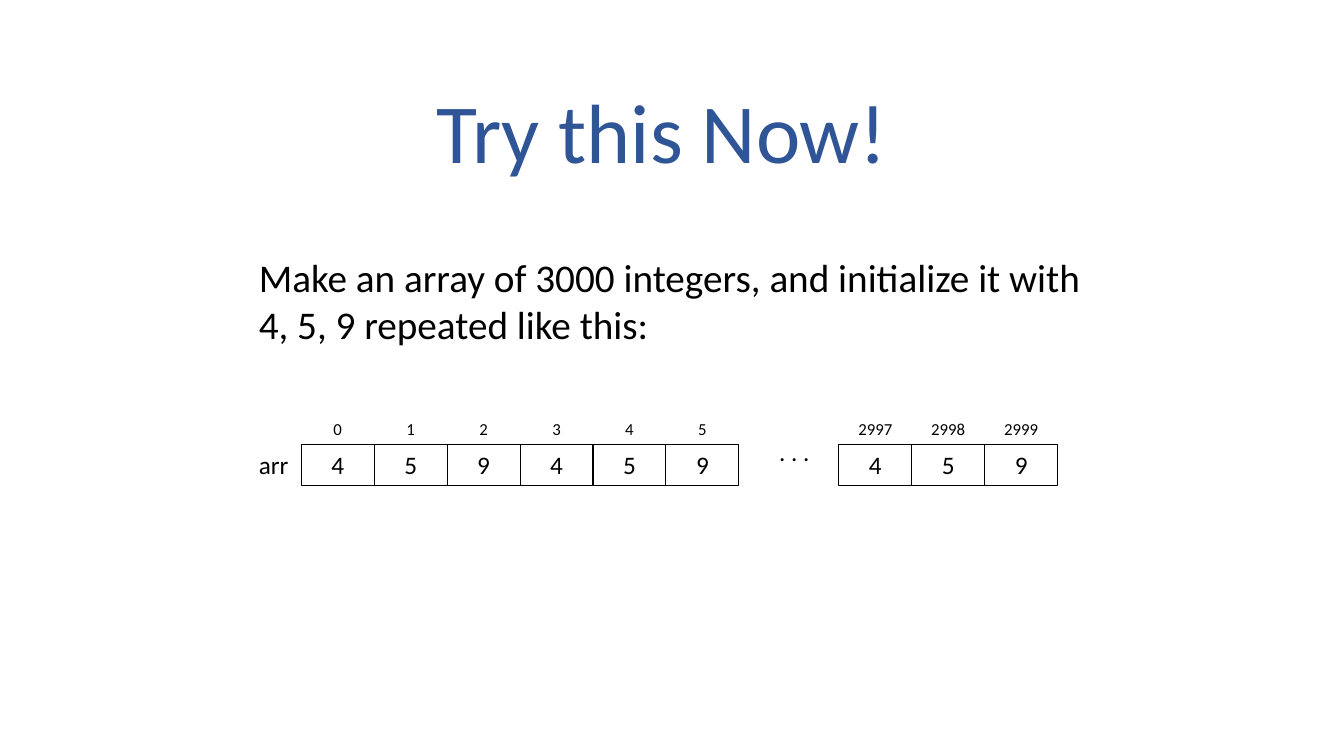
from typing import NamedTuple

from pptx import Presentation
from pptx.dml import color
from pptx.enum import shapes, text as text_enum
from pptx.util import Pt

COLORS = {"ink": "000000", "title": "2F5597"}
FONT = "Calibri"
VALUES = (4, 5, 9)
CELL_WIDTH = 52.1
CELL_HEIGHT = 29.08
CELL_TOP = 317.5
INDEX_HEIGHT = 21.81
INDEX_TOP = CELL_TOP - INDEX_HEIGHT


class Box(NamedTuple):
    left: float
    top: float
    width: float
    height: float

    def lengths(self) -> tuple:
        return tuple(Pt(length) for length in self)


class ArrayPart(NamedTuple):
    left: float
    indices: range


ARRAY_PARTS = (
    ArrayPart(215.2, range(6)),
    ArrayPart(599.2, range(2997, 3000)),
)


def write(shape, text: str, *, size: float = 18, ink: str = "ink",
          centered: bool = False, wrap: bool = True) -> None:
    frame = shape.text_frame
    frame.word_wrap = wrap
    paragraph = frame.paragraphs[0]
    paragraph.text = text
    alignment = text_enum.PP_ALIGN
    paragraph.alignment = alignment.CENTER if centered else alignment.LEFT
    for run in paragraph.runs:
        run.font.name = FONT
        run.font.size = Pt(size)
        run.font.color.rgb = color.RGBColor.from_string(COLORS[ink])


def add_label(slide, box: Box, text: str, **text_format) -> None:
    write(slide.shapes.add_textbox(*box.lengths()), text, **text_format)


def add_cell(slide, box: Box, value: int) -> None:
    shape = slide.shapes.add_shape(shapes.MSO_SHAPE.RECTANGLE, *box.lengths())
    shape.shadow.inherit = False
    shape.fill.background()
    shape.line.color.rgb = color.RGBColor.from_string(COLORS["ink"])
    shape.line.width = Pt(0.75)
    write(shape, str(value), centered=True)


def add_array_part(slide, part: ArrayPart) -> None:
    for position, index in enumerate(part.indices):
        left = part.left + position * CELL_WIDTH
        add_cell(slide, Box(left, CELL_TOP, CELL_WIDTH, CELL_HEIGHT),
                 VALUES[index % len(VALUES)])
        add_label(slide, Box(left, INDEX_TOP, CELL_WIDTH, INDEX_HEIGHT),
                  str(index), size=12, centered=True)


def main() -> None:
    presentation = Presentation()
    presentation.slide_width = Pt(960)
    presentation.slide_height = Pt(540)
    slide = presentation.slides.add_slide(presentation.slide_layouts[6])

    for part in ARRAY_PARTS:
        add_array_part(slide, part)
    add_label(slide, Box(537.1, 308.2, 60.5, CELL_HEIGHT), ". . .", centered=True)
    add_label(slide, Box(177.8, 177.1, 625, 97.2),
              "Make an array of 3000 integers, and initialize it with\n"
              "4, 5, 9 repeated like this:", size=28)
    add_label(slide, Box(177.8, CELL_TOP, 36, CELL_HEIGHT), "arr", wrap=False)
    add_label(slide, Box(304.6, 53.3, 339.8, 79.9), "Try this Now!",
              size=60, ink="title", wrap=False)

    presentation.save("out.pptx")


main()
